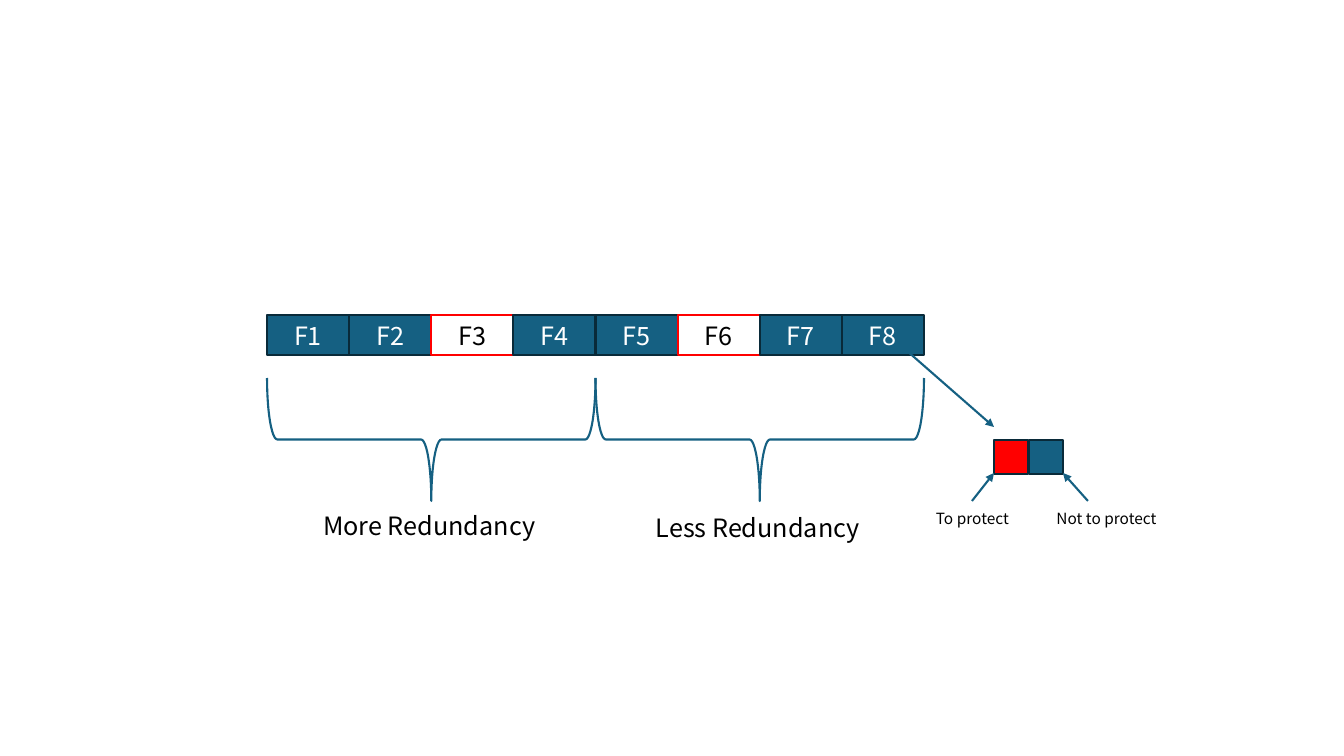
from dataclasses import dataclass
from lxml import etree
from pptx import Presentation
from pptx import util as u
from pptx.dml.color import RGBColor
from pptx.enum import shapes, text
from pptx.oxml import ns

PX = 914400 / 100.8


@dataclass(frozen=True)
class Theme:
    font: str = "Noto Sans CJK SC"
    blue: str = "156082"
    dark: str = "092A39"
    red: str = "FF0000"
    white: str = "FFFFFF"
    black: str = "000000"
    large: int = 18
    small: int = 11
    line: float = 1.5


T = Theme()

# Frames in order; True marks a frame drawn in white with a red outline
FRAMES = [("F1", False), ("F2", False), ("F3", True), ("F4", False),
          ("F5", False), ("F6", True), ("F7", False), ("F8", False)]
ROW_LEFT, ROW_TOP, ROW_WIDTH, FRAME_HEIGHT = 267, 315, 657, 40
HALVES = [("More Redundancy", 505), ("Less Redundancy", 507)]
BRACE_TOP, BRACE_DEPTH, HALF_LABEL_WIDTH = 378, 123, 248
PARTS = [T.red, T.blue]
PART_LEFT, PART_TOP, PART_SIZE, PART_STEP = 994, 440, 34, 35
PART_LABELS = [("To protect", 924, 97), ("Not to protect", 1046, 121)]
PART_LABEL_TOP = 504
ARROWS = [(898, 343, 994, 427), (972, 501, 994, 473), (1088, 501, 1063, 473)]


def px(n):
    return u.Emu(round(n * PX))


def rgb(code):
    return RGBColor.from_string(code)


def write(sp, words, size, color):
    p = sp.text_frame.paragraphs[0]
    p.text = words
    p.alignment = text.PP_ALIGN.CENTER
    p.font.name, p.font.size = T.font, u.Pt(size)
    p.font.color.rgb = rgb(color)


def outline(sp, color):
    sp.line.color.rgb = rgb(color)
    sp.line.width = u.Pt(T.line)


def add_shape(slide, kind, left, top, width, height, line, fill=None):
    sp = slide.shapes.add_shape(kind, px(left), px(top), px(width), px(height))
    sp.shadow.inherit = False
    if fill:
        sp.fill.solid()
        sp.fill.fore_color.rgb = rgb(fill)
    else:
        sp.fill.background()
    outline(sp, line)
    return sp


def add_label(slide, words, left, top, width, height, size):
    sp = slide.shapes.add_textbox(px(left), px(top), px(width), px(height))
    sp.text_frame.word_wrap = True
    write(sp, words, size, T.black)


def add_arrow(slide, x1, y1, x2, y2):
    c = slide.shapes.add_connector(shapes.MSO_CONNECTOR.STRAIGHT,
                                   px(x1), px(y1), px(x2), px(y2))
    outline(c, T.blue)
    etree.SubElement(c.line._get_or_add_ln(), ns.qn("a:tailEnd"), type="triangle")
    etree.SubElement(c._element.spPr, ns.qn("a:effectLst"))


def add_frames(slide):
    step = ROW_WIDTH / len(FRAMES)
    for i, (name, marked) in enumerate(FRAMES):
        fill, line, ink = ((T.white, T.red, T.black) if marked
                           else (T.blue, T.dark, T.white))
        sp = add_shape(slide, shapes.MSO_SHAPE.RECTANGLE, ROW_LEFT + i * step,
                       ROW_TOP, step, FRAME_HEIGHT, line, fill)
        sp.text_frame.vertical_anchor = text.MSO_ANCHOR.MIDDLE
        write(sp, name, T.large, ink)


def add_halves(slide):
    """Brace each half of the row, with the label below its point."""
    span = ROW_WIDTH / len(HALVES)
    middle = BRACE_TOP + BRACE_DEPTH / 2
    for i, (words, top) in enumerate(HALVES):
        center = ROW_LEFT + (i + 0.5) * span
        brace = add_shape(slide, shapes.MSO_SHAPE.RIGHT_BRACE,
                          center - BRACE_DEPTH / 2, middle - span / 2,
                          BRACE_DEPTH, span, T.blue)
        brace.rotation = 90
        add_label(slide, words, center - HALF_LABEL_WIDTH / 2 - 2, top,
                  HALF_LABEL_WIDTH, 40, T.large)


def add_parts(slide):
    for i, color in enumerate(PARTS):
        add_shape(slide, shapes.MSO_SHAPE.RECTANGLE, PART_LEFT + i * PART_STEP,
                  PART_TOP, PART_SIZE, PART_SIZE, T.dark, color)
    for arrow in ARROWS:
        add_arrow(slide, *arrow)
    for words, left, width in PART_LABELS:
        add_label(slide, words, left, PART_LABEL_TOP, width, 29, T.small)


def main():
    prs = Presentation()
    prs.slide_width, prs.slide_height = px(1344), px(756)
    slide = prs.slides.add_slide(prs.slide_layouts[6])
    add_frames(slide)
    add_halves(slide)
    add_parts(slide)
    prs.save("out.pptx")


if __name__ == "__main__":
    main()
